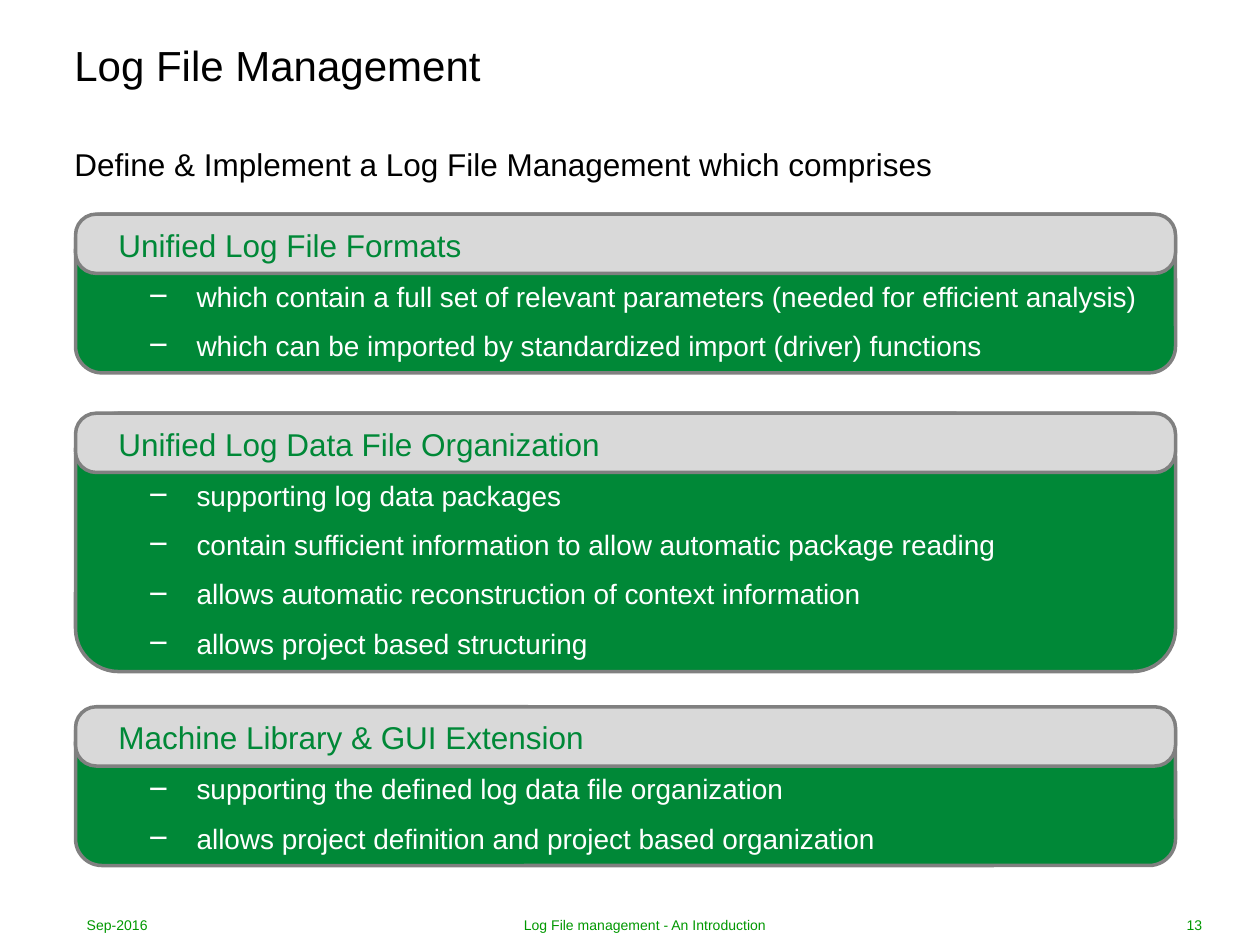
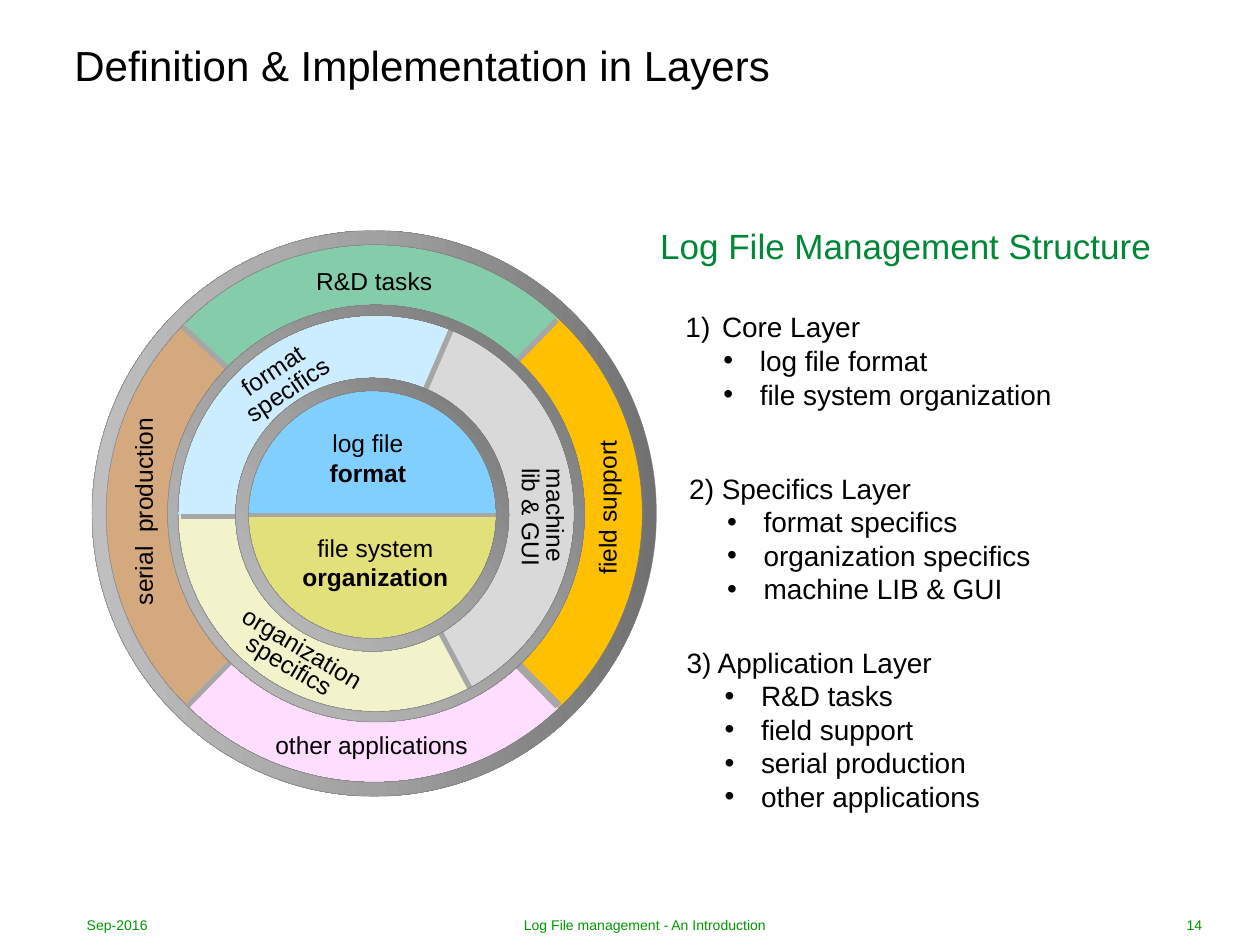
from copy import deepcopy
from dataclasses import dataclass

from lxml.etree import SubElement
from pptx import Presentation
from pptx.dml.color import RGBColor
from pptx.enum.shapes import MSO_CONNECTOR as Connector, MSO_SHAPE as Shape
from pptx.enum.text import MSO_ANCHOR as Anchor, PP_ALIGN as Align
from pptx.oxml.ns import qn
from pptx.util import Inches, Pt

FONT = "Arial"
BLACK, WHITE = "000000", "FFFFFF"
GREEN, FOOTER_GREEN = "008837", "009800"
PANEL_GREY, OUTLINE_GREY, DIVIDER_GREY = "D9D9D9", "808080", "A6A6A6"
RING_STOPS = ((0, "717171"), (0.5, "A1A1A1"), (1, "BFBFBF"))
MARGIN = 0.59
LABEL_WIDTH = 1.7
NO_INSETS = (0, 0)
FOOTER_INSETS = (0.1, 0.05)


@dataclass(frozen=True)
class Box:
    left: float
    top: float
    width: float
    height: float

    def lengths(self) -> list:
        return [Inches(value) for value in (self.left, self.top, self.width, self.height)]


@dataclass(frozen=True)
class Line:
    text: str
    size: int = 16
    color: str = BLACK
    bold: bool = False
    align: Align = Align.LEFT
    before: int = 0
    after: int = 0
    indent: float = 0
    hanging: float = 0
    bullet: str = ""
    bullet_percent: int = 100


@dataclass(frozen=True)
class Card:
    heading: str
    top: float
    height: float
    points: tuple


@dataclass(frozen=True)
class Sector:
    """A coloured part of the wheel, clockwise between two angles in degrees."""
    preset: Shape
    box: Box
    start: float
    end: float
    color: str


@dataclass(frozen=True)
class Divider:
    begin: tuple
    end: tuple
    weight: float = 3


@dataclass(frozen=True)
class Label:
    lines: tuple
    center: float
    top: float
    rotation: float = 0
    height: float = 0.2


@dataclass(frozen=True)
class Ring:
    box: Box
    thickness: float
    gradient_angle: int
    sectors: tuple
    dividers: tuple
    labels: tuple


@dataclass(frozen=True)
class Layer:
    heading: Line
    left: float
    top: float
    height: float
    items: tuple


CARDS = (
    Card("Unified Log File Formats", 1.7, 1.26, (
        "which contain a full set of relevant parameters (needed for efficient analysis)",
        "which can be imported by standardized import (driver) functions")),
    Card("Unified Log Data File Organization", 3.28, 2.05, (
        "supporting log data packages",
        "contain sufficient information to allow automatic package reading",
        "allows automatic reconstruction of context information",
        "allows project based structuring")),
    Card("Machine Library & GUI Extension", 5.61, 1.26, (
        "supporting the defined log data file organization",
        "allows project definition and project based organization")),
)

APPLICATION_RING = Ring(
    Box(0.73, 1.83, 4.48, 4.49), 0.025, 180,
    (Sector(Shape.CHORD, Box(0.76, 1.91, 4.37, 4.39), 44, 225.5, "D4A97E"),
     Sector(Shape.PIE, Box(0.76, 1.86, 4.41, 4.41), 46.8, 134.4, "FFDDFF"),
     Sector(Shape.CHORD, Box(0.79, 1.86, 4.37, 4.39), 224.5, 46, "FFC000"),
     Sector(Shape.PIE, Box(0.77, 1.87, 4.41, 4.41), 224.9, 313.2, "85CCAB")),
    (Divider((1.45, 2.59), (2.08, 3.18)), Divider((4.02, 5.18), (4.43, 5.6), 4.5),
     Divider((4.42, 2.54), (4.01, 2.96)), Divider((1.9, 5.18), (1.49, 5.6))),
    (Label(("R&D tasks",), 2.97, 2.11), Label(("field support",), 4.8, 3.93, 270),
     Label(("serial  production",), 1.12, 3.96, 270),
     Label(("other applications",), 2.95, 5.79)),
)

SPECIFICS_RING = Ring(
    Box(1.33, 2.42, 3.31, 3.31), 0.025, 225,
    (Sector(Shape.CHORD, Box(1.37, 2.48, 3.23, 3.24), 359, 180.5, "F3F3CB"),
     Sector(Shape.CHORD, Box(1.36, 2.46, 3.23, 3.24), 179.5, 1, "CCECFF"),
     Sector(Shape.PIE, Box(1.33, 2.47, 3.28, 3.2), 292.1, 61.7, PANEL_GREY)),
    (Divider((1.44, 4.1), (1.98, 4.1)), Divider((3.36, 3.13), (3.58, 2.62)),
     Divider((3.48, 4.99), (3.74, 5.48))),
    (Label(("specifics",), 2.31, 2.96, 326.2, 0.35), Label(("format",), 2.15, 2.82, 326.2),
     Label(("organization",), 2.39, 5.02, 30.7, 0.28),
     Label(("specifics",), 2.27, 5.15, 30.7, 0.35),
     Label(("lib & GUI",), 4.16, 3.93, 90, 0.35), Label(("machine",), 4.43, 3.99, 90)),
)

CORE_RING = Ring(
    Box(1.87, 3, 2.17, 2.17), 0.047, 225,
    (Sector(Shape.CHORD, Box(1.93, 3.06, 2.08, 2.08), 359.3, 180.5, "E2E07A"),
     Sector(Shape.CHORD, Box(1.93, 3.04, 2.08, 2.08), 179.8, 359.9, "81CFFF")),
    (Divider((1.87, 4.09), (4.03, 4.09), 2.25),),
    (Label(("log file", "format"), 2.92, 3.4, height=0.35),
     Label(("file system", "organization"), 2.98, 4.23, height=0.35)),
)

LAYERS = (
    Layer(Line("Core Layer", indent=0.29, hanging=0.29, bullet="1)"), 5.44, 2.46, 0.87,
          ("log file format", "file system organization")),
    Layer(Line("2) Specifics Layer"), 5.47, 3.74, 0.87,
          ("format specifics", "organization specifics", "machine LIB & GUI")),
    Layer(Line("3) Application Layer"), 5.45, 5.12, 1.46,
          ("R&D tasks", "field support", "serial production", "other applications")),
)


def rgb(color: str) -> RGBColor:
    return RGBColor.from_string(color)


def set_values(target, values: dict) -> None:
    for name, value in values.items():
        setattr(target, name, value)


def set_bullet(paragraph, line: Line) -> None:
    properties = paragraph._p.get_or_add_pPr()
    properties.set("marL", str(Inches(line.indent)))
    properties.set("indent", str(-Inches(line.hanging)))
    if line.bullet == "1)":
        SubElement(properties, qn("a:buAutoNum"), type="arabicParenR")
    elif line.bullet:
        SubElement(properties, qn("a:buSzPct"), val=str(line.bullet_percent * 1000))
        SubElement(properties, qn("a:buFont"), typeface=FONT)
        SubElement(properties, qn("a:buChar"), char=line.bullet)


def add_text(slide, box: Box, lines: list, insets: tuple = NO_INSETS,
             anchor: Anchor = Anchor.TOP, rotation: float = 0) -> None:
    shape = slide.shapes.add_textbox(*box.lengths())
    shape.rotation = rotation
    frame = shape.text_frame
    side, end = (Inches(inset) for inset in insets)
    set_values(frame, {"margin_left": side, "margin_right": side, "margin_top": end,
                       "margin_bottom": end, "vertical_anchor": anchor, "word_wrap": True})
    for index, line in enumerate(lines):
        paragraph = frame.add_paragraph() if index else frame.paragraphs[0]
        set_values(paragraph, {"alignment": line.align, "space_before": Pt(line.before),
                               "space_after": Pt(line.after)})
        set_bullet(paragraph, line)
        run = paragraph.add_run()
        run.text = line.text
        set_values(run.font, {"name": FONT, "size": Pt(line.size), "bold": line.bold})
        run.font.color.rgb = rgb(line.color)


def add_preset(slide, preset: Shape, box: Box, fill: str = "", outline: str = "",
               weight: float = 0, adjustments: tuple = ()):
    shape = slide.shapes.add_shape(preset, *box.lengths())
    shape.shadow.inherit = False
    for index, value in enumerate(adjustments):
        shape.adjustments[index] = value
    if fill:
        shape.fill.solid()
        shape.fill.fore_color.rgb = rgb(fill)
    if outline:
        shape.line.color.rgb = rgb(outline)
        shape.line.width = Pt(weight)
    else:
        shape.line.fill.background()
    return shape


def add_divider(slide, divider: Divider) -> None:
    ends = [Inches(value) for value in divider.begin + divider.end]
    connector = slide.shapes.add_connector(Connector.STRAIGHT, *ends)
    connector.line.color.rgb = rgb(DIVIDER_GREY)
    connector.line.width = Pt(divider.weight)
    SubElement(connector._element.spPr, qn("a:effectLst"))


def fill_with_gradient(shape, angle: int) -> None:
    shape.fill.gradient()
    shape.fill.gradient_angle = angle
    stop_list = shape._element.spPr.find(".//" + qn("a:gsLst"))
    stop_list.insert(1, deepcopy(stop_list[0]))
    for stop, (position, color) in zip(shape.fill.gradient_stops, RING_STOPS):
        stop.position = position
        stop.color.rgb = rgb(color)


def add_card(slide, card: Card) -> None:
    left, width = 0.6, 8.73
    add_preset(slide, Shape.ROUNDED_RECTANGLE, Box(left, card.top, width, card.height),
               GREEN, OUTLINE_GREY, 2)
    add_preset(slide, Shape.ROUNDED_RECTANGLE, Box(left, card.top, width, 0.47),
               PANEL_GREY, OUTLINE_GREY, 2, (0.35,))
    heading = Line(card.heading, 18, GREEN, before=3, after=6, indent=0.35)
    points = [Line(point, 16, WHITE, before=3, after=6, indent=0.97, hanging=0.38,
                   bullet="−", bullet_percent=120) for point in card.points]
    add_text(slide, Box(MARGIN, card.top + 0.09, 8.9, card.height - 0.16), [heading, *points])


def add_ring(slide, ring: Ring) -> None:
    for sector in ring.sectors:
        # Angle adjustments count 60000ths of a degree, in units of 100000.
        angles = (sector.start * 0.6, sector.end * 0.6)
        add_preset(slide, sector.preset, sector.box, sector.color, adjustments=angles)
    for divider in ring.dividers:
        add_divider(slide, divider)
    rim = add_preset(slide, Shape.DONUT, ring.box, outline=OUTLINE_GREY, weight=0.25,
                     adjustments=(ring.thickness,))
    fill_with_gradient(rim, ring.gradient_angle)
    for label in ring.labels:
        lines = [Line(text, 14, bold=index > 0, align=Align.CENTER)
                 for index, text in enumerate(label.lines)]
        box = Box(label.center - LABEL_WIDTH / 2, label.top, LABEL_WIDTH, label.height)
        add_text(slide, box, lines, rotation=label.rotation)


def add_layer(slide, layer: Layer) -> None:
    items = [Line(item, indent=0.59, hanging=0.29, bullet="•") for item in layer.items]
    add_text(slide, Box(layer.left, layer.top, 3.39, layer.height), [layer.heading, *items])


def add_base_slide(presentation, title: str, number: int):
    """Add a blank slide with the shared title and footer."""
    slide = presentation.slides.add_slide(presentation.slide_layouts[6])
    add_text(slide, Box(MARGIN, 0.2, 7.09, 0.63), [Line(title, 24)], anchor=Anchor.MIDDLE)
    footers = ((MARGIN, 1.57, "Sep-2016", Align.LEFT),
               (2.56, 5.12, "Log File management - An Introduction", Align.CENTER),
               (8.07, 1.57, str(number), Align.RIGHT))
    for left, width, text, align in footers:
        add_text(slide, Box(left, 7.24, width, 0.2),
                 [Line(text, 8, FOOTER_GREEN, align=align)], FOOTER_INSETS, Anchor.MIDDLE)
    return slide


def main() -> None:
    presentation = Presentation()
    set_values(presentation, {"slide_width": Inches(10), "slide_height": Inches(7.5)})

    management = add_base_slide(presentation, "Log File Management", 13)
    introduction = "Define & Implement a Log File Management which comprises"
    add_text(management, Box(MARGIN, 1.15, 9.06, 0.24),
             [Line(introduction, 18, before=3, after=6)])
    for card in CARDS:
        add_card(management, card)

    structure = add_base_slide(presentation, "Definition & Implementation in Layers", 14)
    for ring in (APPLICATION_RING, SPECIFICS_RING, CORE_RING):
        add_ring(structure, ring)
    add_text(structure, Box(5.24, 1.78, 4.2, 0.5),
             [Line("Log File Management Structure", 20, GREEN)])
    for layer in LAYERS:
        add_layer(structure, layer)

    presentation.save("out.pptx")


if __name__ == "__main__":
    main()
